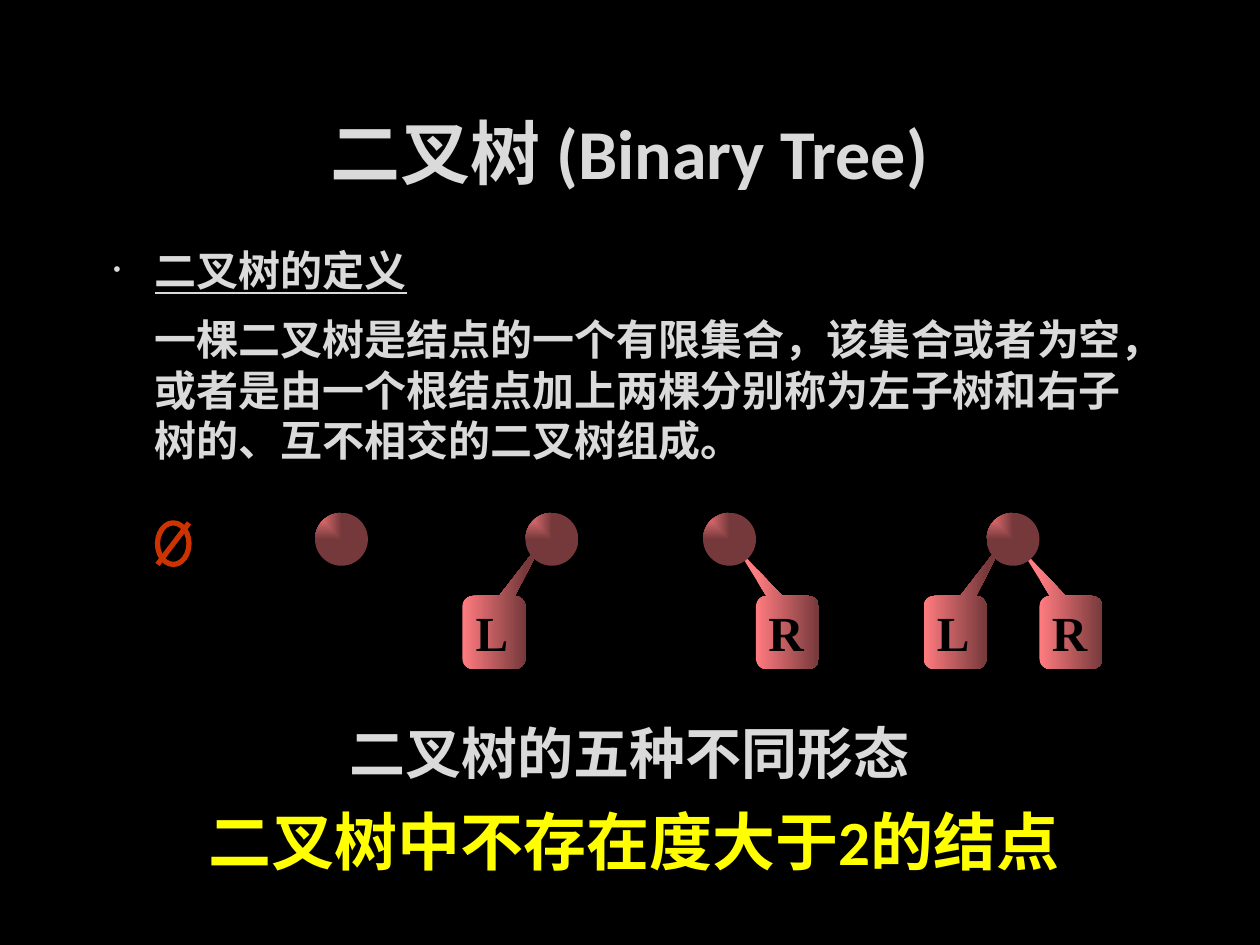
from dataclasses import dataclass

from pptx import Presentation
from pptx.dml.color import RGBColor
from pptx.enum import shapes, text
from pptx.oxml import parse_xml
from pptx.oxml.ns import nsdecls, qn
from pptx.util import Inches, Pt


@dataclass(frozen=True)
class Theme:
    background: str = "000000"
    light: str = "DADADA"
    outline: str = "404040"
    node: str = "FF7C80"
    empty: str = "CC3300"
    label: str = "000000"
    accent: str = "FFFF00"
    sans: str = "Calibri"
    serif: str = "Times New Roman"
    title_size: int = 40
    body_size: int = 24
    label_size: int = 28
    caption_size: int = 32
    remark_size: int = 36


THEME = Theme()
NODE_TOP, NODE_SIZE = 4.07, 0.42
SUBTREE_TOP, SUBTREE_WIDTH, SUBTREE_HEIGHT = 4.73, 0.5, 0.58
# Callout tip and corner radius for each kind of subtree
TIPS = {"L": (0.819, -1.318, 0.167), "R": (-0.83, -1.188, 0.167)}
# Root position and its subtrees (letter, left edge)
TREES = [
    (2.5, []),
    (4.17, [("L", 3.67)]),
    (5.58, [("R", 6)]),
    (7.83, [("L", 7.33), ("R", 8.25)]),
]


def box(left, top, width, height):
    return Inches(left), Inches(top), Inches(width), Inches(height)


def place(shape, *bounds):
    shape.left, shape.top, shape.width, shape.height = box(*bounds)


def format_runs(paragraph, size, font_name, color, underline=None, outlined=False):
    for run in paragraph.runs:
        font = run.font
        font.size, font.name, font.bold = Pt(size), font_name, True
        font.underline = underline
        font.color.rgb = RGBColor.from_string(color)
        if outlined:
            run._r.get_or_add_rPr().insert(0, parse_xml(
                f'<a:ln {nsdecls("a")} w="9525"><a:solidFill>'
                f'<a:srgbClr val="{THEME.outline}"><a:alpha val="10000"/></a:srgbClr>'
                '</a:solidFill><a:prstDash val="solid"/></a:ln>'))


def fill_gradient(shape, direction):
    """Fade from the node colour to a darker shade of it."""
    shape.shadow.inherit = False
    shape.line.fill.background()
    geometry = shape._element.spPr.find(qn("a:prstGeom"))
    geometry.addnext(parse_xml(
        f'<a:gradFill {nsdecls("a")} rotWithShape="0"><a:gsLst>'
        f'<a:gs pos="0"><a:srgbClr val="{THEME.node}"/></a:gs>'
        f'<a:gs pos="100000"><a:srgbClr val="{THEME.node}">'
        '<a:gamma/><a:shade val="46275"/><a:invGamma/></a:srgbClr></a:gs>'
        f'</a:gsLst>{direction}</a:gradFill>'))


def add_text(container, bounds, content, size, font_name, color, wrap=True):
    text_box = container.add_textbox(*box(*bounds))
    frame = text_box.text_frame
    frame.word_wrap = wrap
    frame.auto_size = text.MSO_AUTO_SIZE.SHAPE_TO_FIT_TEXT
    frame.text = content
    paragraph = frame.paragraphs[0]
    paragraph.alignment = text.PP_ALIGN.CENTER
    format_runs(paragraph, size, font_name, color)
    return frame


def add_subtree(container, letter, left):
    callout = container.add_shape(
        shapes.MSO_SHAPE.ROUNDED_RECTANGULAR_CALLOUT,
        *box(left, SUBTREE_TOP, SUBTREE_WIDTH, SUBTREE_HEIGHT))
    for index, value in enumerate(TIPS[letter]):
        callout.adjustments[index] = value
    fill_gradient(callout, '<a:lin ang="0" scaled="1"/>')


def add_letter(container, letter, left):
    frame = add_text(container, (left, SUBTREE_TOP, 0.47, 0.57), letter,
                     THEME.label_size, THEME.serif, THEME.label, wrap=False)
    frame.vertical_anchor = text.MSO_ANCHOR.MIDDLE


def add_root(container, left):
    root = container.add_shape(
        shapes.MSO_SHAPE.OVAL, *box(left, NODE_TOP, NODE_SIZE, NODE_SIZE))
    fill_gradient(root, '<a:path path="rect"><a:fillToRect r="100000" b="100000"/></a:path>')


def add_empty_tree(container, left, top, width, height):
    ring = container.add_shape(shapes.MSO_SHAPE.OVAL, *box(left, top, width, height))
    ring.shadow.inherit = False
    ring.fill.background()
    slash = container.add_connector(
        shapes.MSO_CONNECTOR.STRAIGHT, Inches(left + width), Inches(top),
        Inches(left), Inches(top + height))
    slash._element.spPr.append(parse_xml(f'<a:effectLst {nsdecls("a")}/>'))
    for shape in (ring, slash):
        shape.line.color.rgb = RGBColor.from_string(THEME.empty)
        shape.line.width = Pt(3)


def fill_title(title):
    place(title, 0.75, 0.67, 8.49, 1.06)
    frame = title.text_frame
    frame.text = "二叉树 (Binary Tree)"
    frame.auto_size = text.MSO_AUTO_SIZE.NONE
    frame.vertical_anchor = text.MSO_ANCHOR.MIDDLE
    paragraph = frame.paragraphs[0]
    paragraph.alignment = text.PP_ALIGN.CENTER
    format_runs(paragraph, THEME.title_size, THEME.sans, THEME.light, outlined=True)


def fill_definition(body):
    place(body, 0.75, 1.89, 8.49, 4.44)
    frame = body.text_frame
    frame.text = (
        "二叉树的定义\n"
        "\t一棵二叉树是结点的一个有限集合，该集合或者为空，或者是由一个根结点加上两棵"
        "分别称为左子树和右子树的、互不相交的二叉树组成。")
    frame.auto_size = text.MSO_AUTO_SIZE.NONE
    heading, definition = frame.paragraphs
    bullets = {
        heading: ('<a:buSzPct {} val="50000"/>', '<a:buChar {} char="•"/>'),
        definition: ('<a:buNone {}/>',),
    }
    for paragraph, elements in bullets.items():
        paragraph.space_after = Pt(6)
        properties = paragraph._p.get_or_add_pPr()
        properties.set("marL", str(Inches(0.38)))
        properties.set("indent", str(Inches(-0.33)))
        for element in elements:
            properties.append(parse_xml(element.format(nsdecls("a"))))
        format_runs(paragraph, THEME.body_size, THEME.serif, THEME.light,
                    underline=paragraph is heading, outlined=True)
    heading.space_before = Pt(0)


def main():
    presentation = Presentation()
    presentation.slide_width, presentation.slide_height = Inches(10), Inches(7.5)
    slide = presentation.slides.add_slide(presentation.slide_layouts[1])
    slide.background.fill.solid()
    slide.background.fill.fore_color.rgb = RGBColor.from_string(THEME.background)

    # Title and definition
    fill_title(slide.shapes.title)
    fill_definition(slide.placeholders[1])

    # The five forms of a binary tree, subtrees behind roots
    forms = slide.shapes.add_group_shape().shapes
    subtrees = [subtree for _, children in TREES for subtree in children]
    for letter, left in subtrees:
        add_subtree(forms, letter, left)
    add_empty_tree(forms, 1.25, 4.15, 0.25, 0.33)
    for left, _ in TREES:
        add_root(forms, left)
    for letter, left in subtrees:
        add_letter(forms, letter, left)

    # Caption and remark
    add_text(slide.shapes, (1.5, 5.65, 7, 0.63), "二叉树的五种不同形态",
             THEME.caption_size, THEME.serif, THEME.light)
    add_text(slide.shapes, (1.1, 6.32, 7.87, 0.71), "二叉树中不存在度大于2的结点",
             THEME.remark_size, THEME.sans, THEME.accent)
    presentation.save("out.pptx")


if __name__ == "__main__":
    main()
